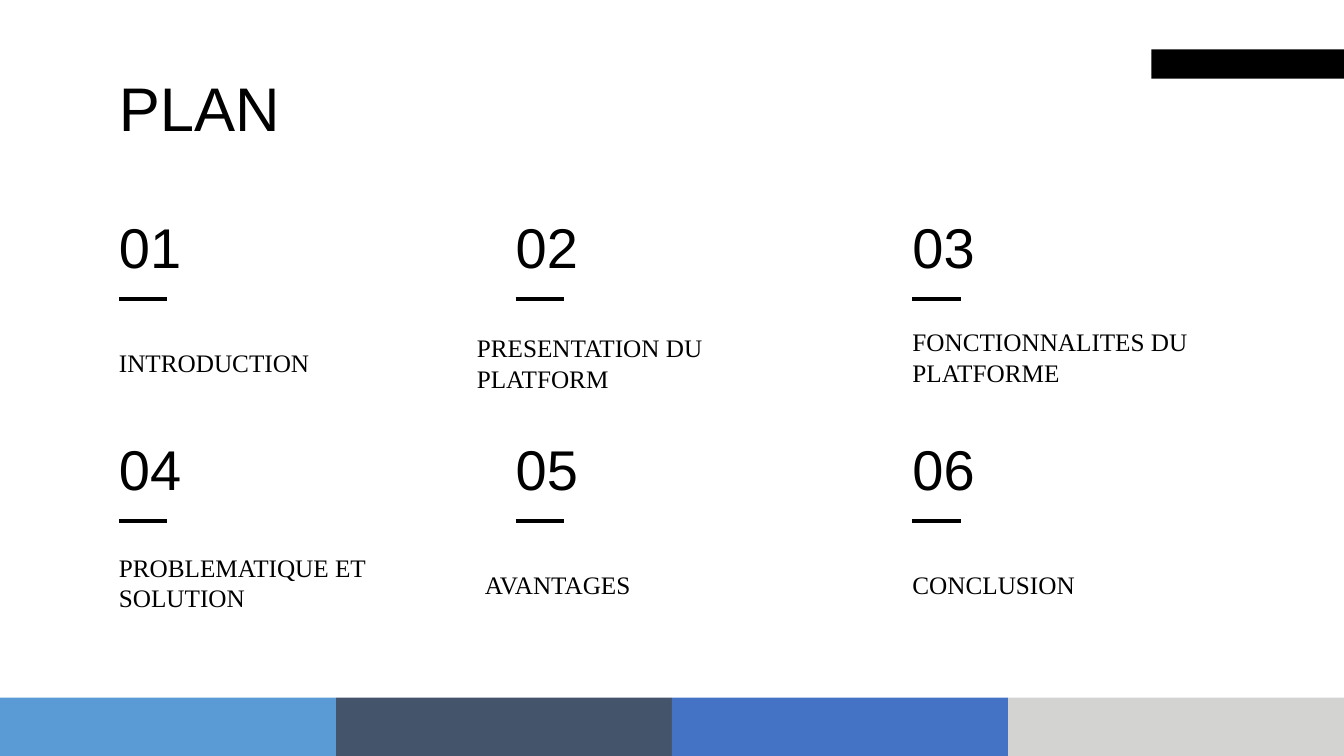
from lxml import etree
from pptx import Presentation
from pptx.dml.color import RGBColor
from pptx.enum import shapes, text
from pptx.oxml.ns import qn
from pptx.util import Inches, Pt

BLACK = RGBColor(0x00, 0x00, 0x00)
SKY = RGBColor(0x5B, 0x9B, 0xD5)
SLATE = RGBColor(0x44, 0x54, 0x6A)
BLUE = RGBColor(0x44, 0x72, 0xC4)
GREY = RGBColor(0xD3, 0xD3, 0xD2)

WIDTH, HEIGHT = 13.33, 7.5
INSET = 0.13

deck = Presentation()
deck.slide_width, deck.slide_height = Inches(WIDTH), Inches(HEIGHT)
slide = deck.slides.add_slide(deck.slide_layouts[6])


def add_band(left, top, width, height, color):
    band = slide.shapes.add_shape(
        shapes.MSO_SHAPE.RECTANGLE, Inches(left), Inches(top), Inches(width), Inches(height))
    band.shadow.inherit = False
    band.fill.solid()
    band.fill.fore_color.rgb = color
    band.line.fill.background()


def add_label(words, box, font, size, anchor, spacing=1.0):
    frame = slide.shapes.add_textbox(*map(Inches, box)).text_frame
    margins = dict.fromkeys(
        ("margin_left", "margin_top", "margin_right", "margin_bottom"), Inches(INSET))
    for name, value in {"word_wrap": True, "vertical_anchor": anchor, **margins}.items():
        setattr(frame, name, value)
    paragraph = frame.paragraphs[0]
    paragraph.line_spacing = spacing
    run = paragraph.add_run()
    run.text = words
    for name, value in {"name": font, "size": Pt(size)}.items():
        setattr(run.font, name, value)
    run.font.color.rgb = BLACK


# Footer strip and corner bar
FOOTER_HEIGHT = 0.58
for i, color in enumerate((SKY, SLATE, BLUE, GREY)):
    add_band(i * WIDTH / 4, HEIGHT - FOOTER_HEIGHT, WIDTH / 4, FOOTER_HEIGHT, color)
add_band(11.42, 0.49, WIDTH - 11.42, 0.29, BLACK)

add_label("PLAN", (1.05, 0.65, 11.23, 0.84), "Arial", 44, text.MSO_ANCHOR.TOP, 0.9)

# Chapters: caption and its box, in reading order
chapters = [
    ("INTRODUCTION", (1.05, 3.22, 3.7, 0.66)),
    ("PRESENTATION DU PLATFORM", (4.6, 3.2, 3.23, 0.83)),
    ("FONCTIONNALITES DU PLATFORME", (8.92, 3.22, 3.36, 0.75)),
    ("PROBLEMATIQUE ET SOLUTION", (1.05, 5.42, 3.36, 0.79)),
    ("AVANTAGES", (4.68, 5.42, 3.36, 0.66)),
    ("CONCLUSION", (8.92, 5.42, 3.36, 0.66)),
]
COLUMN_STEP, ROW_STEP = 3.935, 2.2
for i, (caption, caption_box) in enumerate(chapters):
    row, column = divmod(i, 3)
    left = 1.05 + column * COLUMN_STEP
    top = 2.16 + row * ROW_STEP
    add_label(f"{i + 1:02}", (left, top, 1.07, 0.65), "Arial", 40, text.MSO_ANCHOR.MIDDLE, 0.9)
    add_label(caption, caption_box, "Times New Roman", 18, text.MSO_ANCHOR.BOTTOM)

    rule_left, rule_y = left + INSET, top + 0.81
    rule = slide.shapes.add_connector(
        shapes.MSO_CONNECTOR.STRAIGHT,
        Inches(rule_left), Inches(rule_y), Inches(rule_left + 0.48), Inches(rule_y))
    rule.line.color.rgb = BLACK
    rule.line.width = Pt(3)
    etree.SubElement(rule._element.spPr, qn("a:effectLst"))

deck.save("out.pptx")
